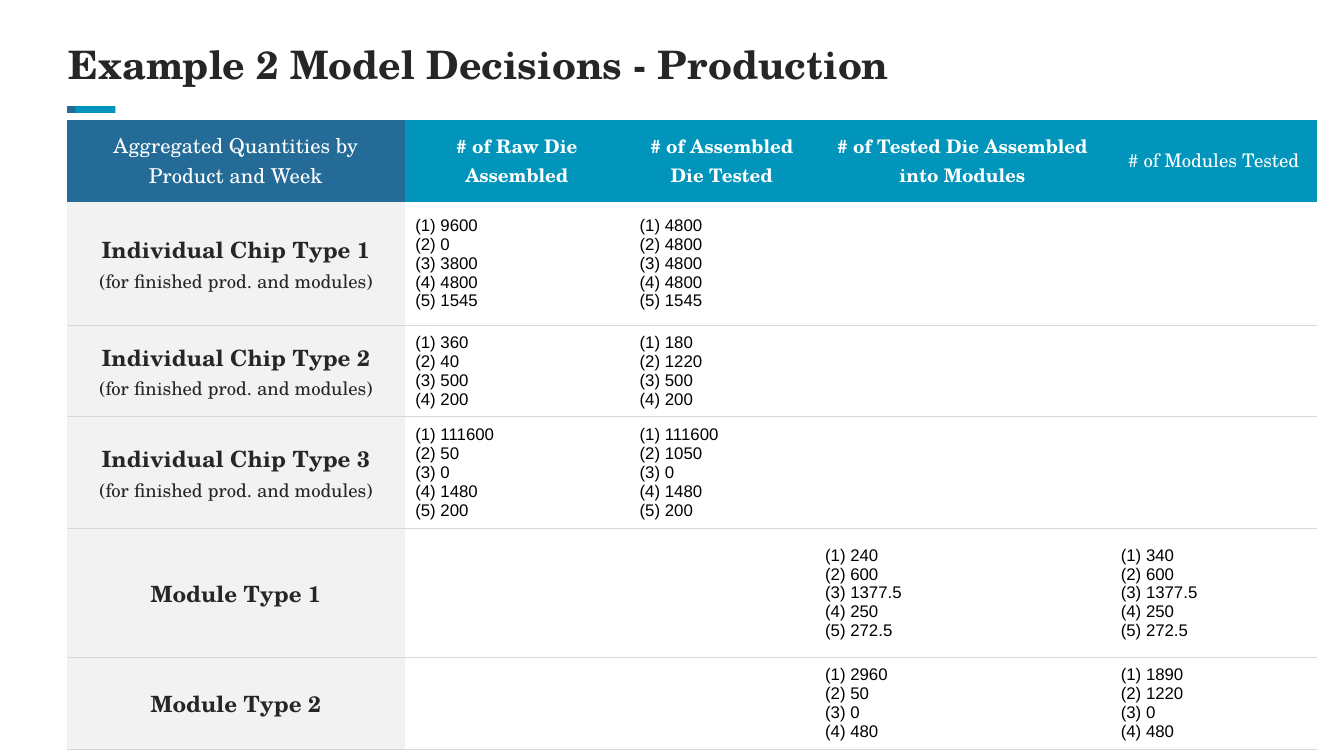
from lxml import etree
from pptx import Presentation
from pptx.dml.color import RGBColor
from pptx.enum.shapes import MSO_SHAPE as Shape
from pptx.enum.text import MSO_ANCHOR as Anchor, PP_ALIGN as Align
from pptx.oxml.ns import qn
from pptx.util import Inches, Pt

COLORS = {
    "blue": "246C97",
    "teal": "0195BC",
    "gray": "F2F2F2",
    "rule": "D8D8D8",
    "ink": "262626",
    "white": "FFFFFF",
    "black": "000000",
}
SERIF = "TeX Gyre Schola"
FORMATS = {
    "title": {"name": SERIF, "size": Pt(21), "bold": True, "color": "ink"},
    "corner": {"name": SERIF, "size": Pt(11), "bold": False, "color": "white"},
    "header": {"name": SERIF, "size": Pt(10), "bold": True, "color": "white"},
    "light_header": {"name": SERIF, "size": Pt(10), "bold": False, "color": "white"},
    "product": {"name": SERIF, "size": Pt(12), "bold": True, "color": "ink"},
    "note": {"name": SERIF, "size": Pt(10), "bold": False, "color": "ink"},
    "quantity": {"name": "Arial", "size": Pt(9), "bold": False, "color": "black"},
}
COLUMN_WIDTHS = [2.51, 1.67, 1.38, 2.2, 1.54]
ROW_HEIGHTS = [0.61, 0.92, 0.54, 0.81, 0.96, 0.63]
HEADERS = [
    ("Aggregated Quantities by Product and Week", "corner", "blue"),
    ("# of Raw Die Assembled", "header", "teal"),
    ("# of Assembled Die Tested", "header", "teal"),
    ("# of Tested Die Assembled into Modules", "header", "teal"),
    ("# of Modules Tested", "light_header", "teal"),
]
CHIP_NOTE = "(for finished prod. and modules)"
PRODUCTS = [
    ("Individual Chip Type 1", CHIP_NOTE, {
        1: [9600, 0, 3800, 4800, 1545],
        2: [4800, 4800, 4800, 4800, 1545]}),
    ("Individual Chip Type 2", CHIP_NOTE, {
        1: [360, 40, 500, 200],
        2: [180, 1220, 500, 200]}),
    ("Individual Chip Type 3", CHIP_NOTE, {
        1: [111600, 50, 0, 1480, 200],
        2: [111600, 1050, 0, 1480, 200]}),
    ("Module Type 1", None, {
        3: [240, 600, 1377.5, 250, 272.5],
        4: [340, 600, 1377.5, 250, 272.5]}),
    ("Module Type 2", None, {
        3: [2960, 50, 0, 480],
        4: [1890, 1220, 0, 480]}),
]
NO_STYLE = "{2D5ABB26-0587-4C30-8999-92F81FD0307C}"


def rgb(color):
    return RGBColor.from_string(COLORS[color])


def write_lines(text_frame, lines, alignment):
    for index, (text, format_name) in enumerate(lines):
        paragraph = text_frame.paragraphs[0] if index == 0 else text_frame.add_paragraph()
        paragraph.alignment = alignment
        run = paragraph.add_run()
        run.text = text
        for attribute, value in FORMATS[format_name].items():
            if attribute == "color":
                run.font.color.rgb = rgb(value)
            else:
                setattr(run.font, attribute, value)


def add_title(slide, text):
    box = slide.shapes.add_textbox(Inches(0.51), Inches(0.34), Inches(8.98), Inches(0.32))
    frame = box.text_frame
    settings = {"word_wrap": True, "vertical_anchor": Anchor.MIDDLE, "margin_left": 0,
                "margin_right": 0, "margin_top": 0, "margin_bottom": 0}
    for attribute, value in settings.items():
        setattr(frame, attribute, value)
    write_lines(frame, [(text, "title")], Align.LEFT)
    frame.paragraphs[0].line_spacing = 0.9


def add_accent(slide, left, width, color):
    shape = slide.shapes.add_shape(
        Shape.RECTANGLE, Inches(left), Inches(0.79), Inches(width), Inches(0.05))
    shape.shadow.inherit = False
    shape.fill.solid()
    shape.fill.fore_color.rgb = rgb(color)
    shape.line.fill.background()


def add_bottom_border(cell):
    properties = cell._tc.get_or_add_tcPr()
    border = etree.Element(qn("a:lnB"), w=str(Pt(0.75)))
    fill = etree.SubElement(border, qn("a:solidFill"))
    etree.SubElement(fill, qn("a:srgbClr"), val=COLORS["rule"])
    properties.insert(0, border)


def fill_cell(cell, lines, fill, alignment=Align.CENTER):
    cell.fill.solid()
    cell.fill.fore_color.rgb = rgb(fill)
    cell.vertical_anchor = Anchor.MIDDLE
    cell.margin_left = cell.margin_right = Inches(0.08)
    cell.margin_top = cell.margin_bottom = Inches(0.04)
    write_lines(cell.text_frame, lines, alignment)


def add_product_row(table, row, name, note, quantities):
    label = [(name, "product")] + ([(note, "note")] if note else [])
    fill_cell(table.cell(row, 0), label, "gray")
    for column in range(1, len(COLUMN_WIDTHS)):
        lines = [(f"({week}) {quantity}", "quantity")
                 for week, quantity in enumerate(quantities.get(column, []), 1)]
        fill_cell(table.cell(row, column), lines, "white", Align.LEFT)
    for cell in table.rows[row].cells:
        add_bottom_border(cell)


def add_production_table(slide):
    frame = slide.shapes.add_table(
        len(ROW_HEIGHTS), len(COLUMN_WIDTHS), Inches(0.5), Inches(0.89),
        Inches(sum(COLUMN_WIDTHS)), Inches(sum(ROW_HEIGHTS)))
    table = frame.table
    table._tbl.tblPr.find(qn("a:tableStyleId")).text = NO_STYLE
    table.horz_banding = False
    for column, width in zip(table.columns, COLUMN_WIDTHS):
        column.width = Inches(width)
    for row, height in zip(table.rows, ROW_HEIGHTS):
        row.height = Inches(height)
    for column, (text, format_name, fill) in enumerate(HEADERS):
        fill_cell(table.cell(0, column), [(text, format_name)], fill)
    for row, product in enumerate(PRODUCTS, 1):
        add_product_row(table, row, *product)


def main():
    presentation = Presentation()
    presentation.slide_width = Inches(10)
    presentation.slide_height = Inches(10 * 9 / 16)
    slide = presentation.slides.add_slide(presentation.slide_layouts[6])
    add_accent(slide, 0.56, 0.3, "teal")
    add_accent(slide, 0.5, 0.06, "blue")
    add_title(slide, "Example 2 Model Decisions - Production")
    add_production_table(slide)
    presentation.save("out.pptx")


if __name__ == "__main__":
    main()
